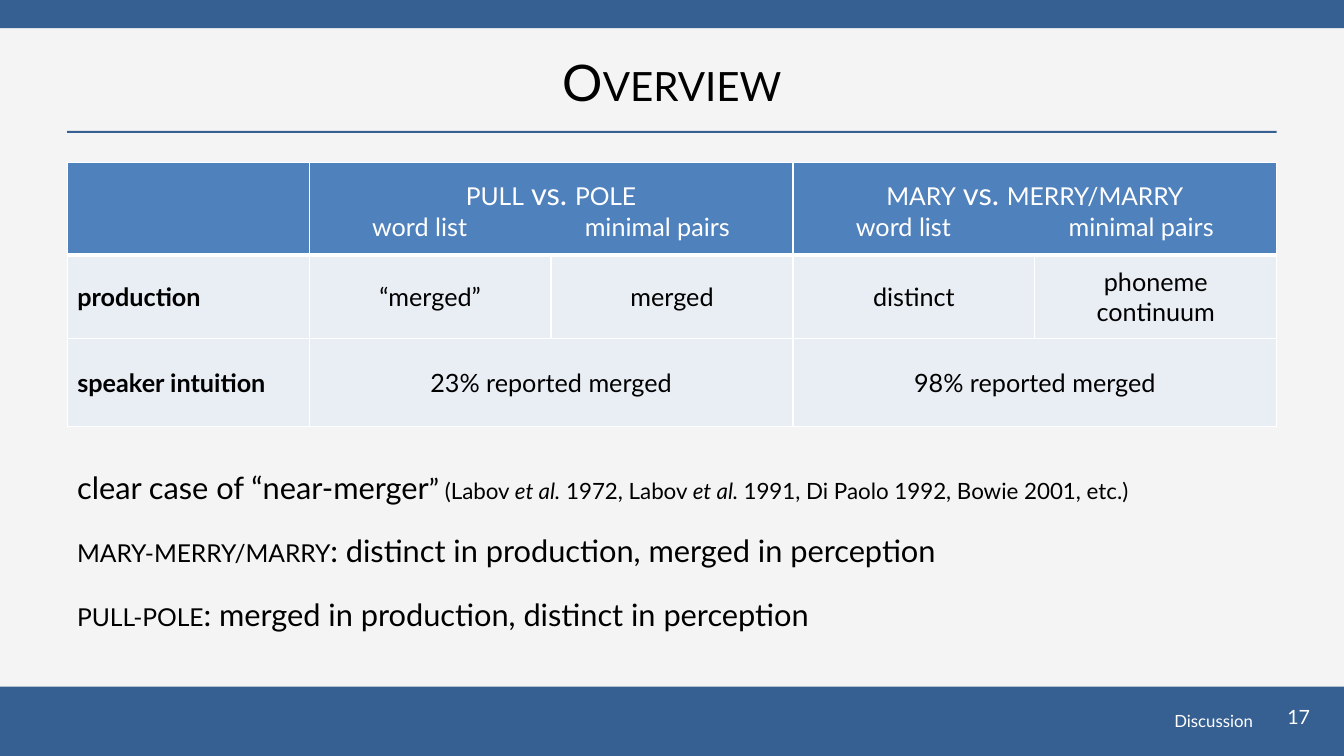
from lxml.etree import SubElement
from pptx import Presentation
from pptx.dml.color import RGBColor
from pptx.enum.shapes import MSO_SHAPE
from pptx.enum.text import MSO_ANCHOR, PP_ALIGN
from pptx.oxml import parse_xml
from pptx.oxml.ns import nsdecls, qn
from pptx.util import Cm, Pt

FONT = "Lato"
COLORS = {"background": "F4F4F4", "band": "376092", "header": "4F81BD",
          "body": "E9EDF4", "white": "FFFFFF", "black": "000000"}
LEFT, CENTER, RIGHT = PP_ALIGN.LEFT, PP_ALIGN.CENTER, PP_ALIGN.RIGHT

# Content: a paragraph is a list of (text, size, style) runs
TITLE = [[("Overview", 36, "small")]]
SECTION = [[("Discussion", 12, "")]]
PAGE = [[("17", 14, "")]]
TASKS = [("word list\tminimal pairs", 18, "")]
BODY = [
    [("clear case of “near-merger", 22, ""), ("”", 20, ""),
     (" (Labov ", 16, ""), ("et al.", 16, "italic"),
     (" 1972, Labov ", 16, ""), ("et al. ", 16, "italic"),
     ("1991, Di Paolo 1992, Bowie 2001, etc.)", 16, "")],
    [("mary-merry/marry", 22, "small"),
     (": distinct in production, merged in perception", 22, "")],
    [("pull-pole", 22, "small"),
     (": merged in production, distinct in perception", 22, "")],
]
CONTRASTS = [("pull", "pole"), ("mary", "merry/marry")]
RESULTS = [
    ["production", "“merged”", "merged", "distinct", "phoneme continuum"],
    ["speaker intuition", "23% reported merged", None, "98% reported merged", None],
]

# Measures in centimetres
SLIDE_WIDTH, SLIDE_HEIGHT = 33.87, 19.05
CONTENT_WIDTH = 30.48
MARGIN = (SLIDE_WIDTH - CONTENT_WIDTH) / 2
ROW_HEIGHTS = [2.33, 2.11, 2.21]
TASK_TAB = 5.36
BANDS = [  # left, top, width, height
    (0, 17.3, SLIDE_WIDTH, 1.75),
    (0, 0, SLIDE_WIDTH, 0.71),
    (MARGIN, 3.3, CONTENT_WIDTH, 0.05),
]
TEXT_BOXES = [  # area, paragraphs, alignment, anchor, colour, space before
    ((MARGIN, 0.79, CONTENT_WIDTH, 2.51), TITLE, CENTER, MSO_ANCHOR.MIDDLE, "black", 0),
    ((31.83, 17.65, 1.8, 1.02), PAGE, CENTER, MSO_ANCHOR.TOP, "white", 0),
    ((20.4, 17.65, 11.43, 1.02), SECTION, RIGHT, MSO_ANCHOR.MIDDLE, "white", 0),
    ((MARGIN, 11.68, CONTENT_WIDTH, 4.7), BODY, LEFT, MSO_ANCHOR.TOP, "black", 19),
]


def rgb(name):
    return RGBColor.from_string(COLORS[name])


def write(text_frame, paragraphs, alignment, color, space=0):
    for index, runs in enumerate(paragraphs):
        paragraph = text_frame.paragraphs[0] if index == 0 else text_frame.add_paragraph()
        paragraph.alignment = alignment
        if index and space:
            paragraph.space_before = Pt(space)
        if any("\t" in text for text, _, _ in runs):
            tabs = SubElement(paragraph._p.get_or_add_pPr(), qn("a:tabLst"))
            SubElement(tabs, qn("a:tab"), pos=str(Cm(TASK_TAB)), algn="l")
        for text, size, style in runs:
            run = paragraph.add_run()
            run.text = text
            run.font.name = FONT
            run.font.size = Pt(size)
            run.font.bold = style == "bold"
            run.font.italic = style == "italic"
            run.font.color.rgb = rgb(color)
            if style == "small":
                run._r.get_or_add_rPr().set("cap", "small")


def style_cell(cell, fill, bottom_width):
    cell.vertical_anchor = MSO_ANCHOR.MIDDLE
    cell.fill.solid()
    cell.fill.fore_color.rgb = rgb(fill)
    properties = cell._tc.get_or_add_tcPr()
    for index, side in enumerate("LRTB"):
        width = Pt(bottom_width if side == "B" else 1)
        properties.insert(index, parse_xml(
            f'<a:ln{side} {nsdecls("a")} w="{width}"><a:solidFill>'
            f'<a:srgbClr val="{COLORS["white"]}"/></a:solidFill></a:ln{side}>'))


def add_results_table(slide):
    columns = len(RESULTS[0])
    table = slide.shapes.add_table(
        len(ROW_HEIGHTS), columns, Cm(MARGIN), Cm(4.09),
        Cm(CONTENT_WIDTH), Cm(sum(ROW_HEIGHTS))).table
    for column in table.columns:
        column.width = Cm(CONTENT_WIDTH / columns)
    for index, height in enumerate(ROW_HEIGHTS):
        table.rows[index].height = Cm(height)
        for column in range(columns):
            header = index == 0
            style_cell(table.cell(index, column),
                       "header" if header else "body", 3 if header else 1)

    # Header contrasts and intuition results each span two columns
    for pair, (first, second) in enumerate(CONTRASTS):
        column = 1 + 2 * pair
        for row in (0, 2):
            table.cell(row, column).merge(table.cell(row, column + 1))
        contrast = [(first, 22, "small"), (" vs. ", 22, ""), (second, 22, "small")]
        write(table.cell(0, column).text_frame, [contrast, TASKS], CENTER, "white")

    for row, values in enumerate(RESULTS, start=1):
        for column, value in enumerate(values):
            if value:
                label = column == 0
                write(table.cell(row, column).text_frame,
                      [[(value, 18, "bold" if label else "")]],
                      LEFT if label else CENTER, "black")


def main():
    presentation = Presentation()
    presentation.slide_width = Cm(SLIDE_WIDTH)
    presentation.slide_height = Cm(SLIDE_HEIGHT)
    slide = presentation.slides.add_slide(presentation.slide_layouts[6])
    slide.background.fill.solid()
    slide.background.fill.fore_color.rgb = rgb("background")

    # Bands and title rule
    for area in BANDS:
        shape = slide.shapes.add_shape(MSO_SHAPE.RECTANGLE, *map(Cm, area))
        shape.shadow.inherit = False
        shape.fill.solid()
        shape.fill.fore_color.rgb = rgb("band")
        shape.line.fill.background()

    add_results_table(slide)

    # Title, footer and conclusions
    for area, paragraphs, alignment, anchor, color, space in TEXT_BOXES:
        text_frame = slide.shapes.add_textbox(*map(Cm, area)).text_frame
        text_frame.word_wrap = True
        text_frame.vertical_anchor = anchor
        write(text_frame, paragraphs, alignment, color, space)

    presentation.save("out.pptx")


if __name__ == "__main__":
    main()
